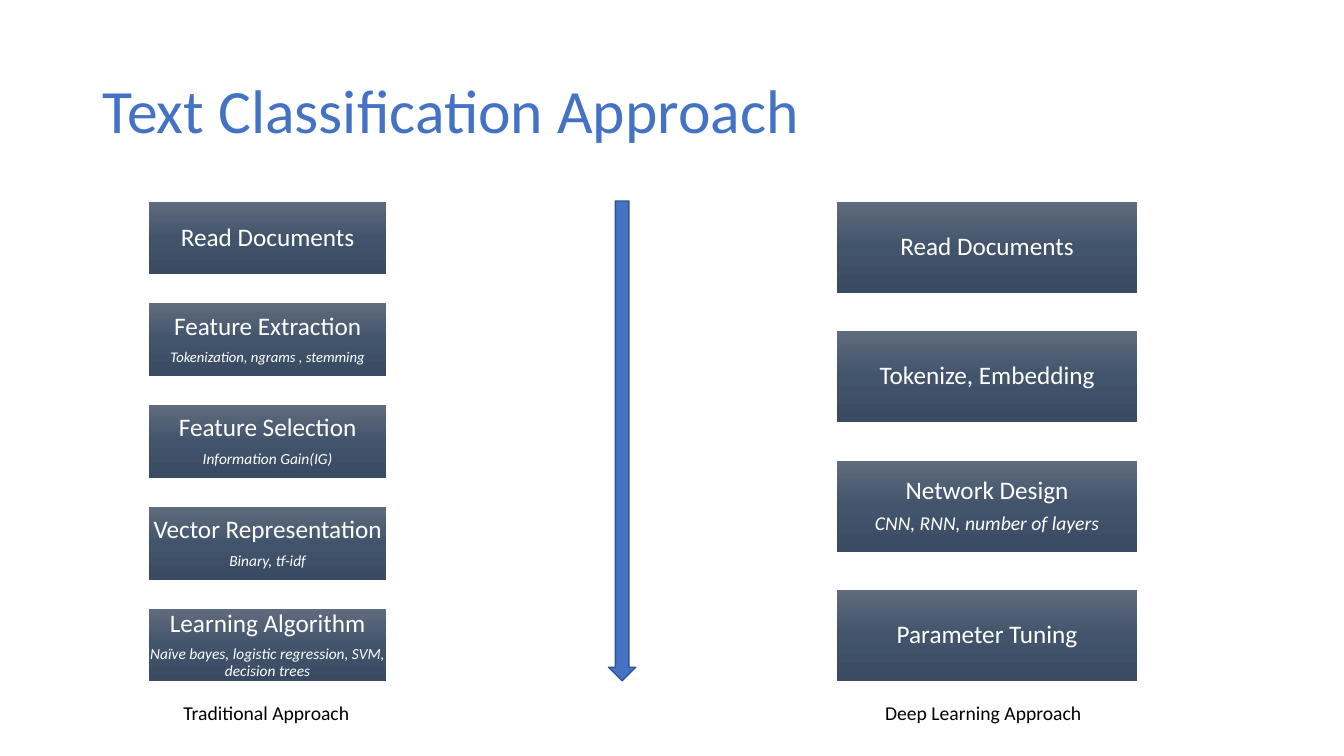
from copy import deepcopy
from dataclasses import dataclass

from pptx import Presentation
from pptx.dml.color import RGBColor
from pptx.enum.shapes import MSO_SHAPE
from pptx.enum.text import MSO_ANCHOR, MSO_AUTO_SIZE, PP_ALIGN
from pptx.oxml.ns import qn
from pptx.slide import Slide
from pptx.text.text import TextFrame
from pptx.util import Emu, Pt

PX = 9144
FONT = "Calibri"
WHITE = RGBColor(0xFF, 0xFF, 0xFF)
BLACK = RGBColor(0x00, 0x00, 0x00)
BLUE = RGBColor(0x44, 0x72, 0xC4)
ARROW_EDGE = RGBColor(0x32, 0x54, 0x91)
GRADIENT = (
    (0.0, RGBColor(0x60, 0x6B, 0x7D)),
    (0.5, RGBColor(0x42, 0x54, 0x6C)),
    (1.0, RGBColor(0x39, 0x4A, 0x62)),
)
STEPS_TOP = 200
STEPS_HEIGHT = 476
STEP_INSET = 1


@dataclass(frozen=True)
class Area:
    left: int
    top: int
    width: int
    height: int

    def emu(self) -> tuple[Emu, ...]:
        lengths = (self.left, self.top, self.width, self.height)
        return tuple(Emu(length * PX) for length in lengths)


@dataclass(frozen=True)
class Step:
    name: str
    detail: str = ""
    detail_size: float = 11


@dataclass(frozen=True)
class Approach:
    left: int
    width: int
    step_height: int
    steps: tuple[Step, ...]
    caption: str
    caption_area: Area


APPROACHES = (
    Approach(
        148, 235, 72,
        (
            Step("Read Documents"),
            Step("Feature Extraction", "Tokenization, ngrams , stemming", 10.5),
            Step("Feature Selection", "Information Gain(IG)"),
            Step("Vector Representation", "Binary, tf-idf"),
            Step("Learning Algorithm",
                 "Naïve bayes, logistic regression, SVM, decision trees"),
        ),
        "Traditional Approach", Area(172, 690, 188, 34),
    ),
    Approach(
        830, 298, 91,
        (
            Step("Read Documents"),
            Step("Tokenize, Embedding"),
            Step("Network Design", "CNN, RNN, number of layers", 14),
            Step("Parameter Tuning"),
        ),
        "Deep Learning Approach", Area(868, 690, 223, 34),
    ),
)


def apply(target: object, values: dict[str, object]) -> None:
    for name, value in values.items():
        setattr(target, name, value)


def write(frame: TextFrame, index: int, text: str, size: float,
          color: RGBColor, layout: dict[str, object],
          italic: bool = False) -> None:
    para = frame.paragraphs[0] if index == 0 else frame.add_paragraph()
    apply(para, layout)
    span = para.add_run()
    span.text = text
    apply(span.font, {"name": FONT, "size": Pt(size), "italic": italic})
    span.font.color.rgb = color


def add_label(page: Slide, area: Area, text: str, size: float,
              color: RGBColor, frame_values: dict[str, object],
              layout: dict[str, object]) -> None:
    box = page.shapes.add_textbox(*area.emu())
    apply(box.text_frame, {"word_wrap": True, **frame_values})
    write(box.text_frame, 0, text, size, color, layout)


def add_step(page: Slide, area: Area, step: Step) -> None:
    box = page.shapes.add_shape(MSO_SHAPE.RECTANGLE, *area.emu())
    box.shadow.inherit = False
    box.line.fill.background()
    box.fill.gradient()
    box.fill.gradient_angle = 270
    stops = box._element.spPr.find(f".//{qn('a:gsLst')}")
    stops.append(deepcopy(stops[0]))
    for stop, (position, color) in zip(box.fill.gradient_stops, GRADIENT):
        stop.position = position
        stop.color.rgb = color

    frame = box.text_frame
    sides = ("left", "top", "right", "bottom")
    insets = {f"margin_{side}": Emu(STEP_INSET * PX) for side in sides}
    apply(frame, {"word_wrap": True, "vertical_anchor": MSO_ANCHOR.MIDDLE,
                  **insets})
    lines = [(step.name, 18, False)]
    if step.detail:
        lines.append((step.detail, step.detail_size, True))
    for index, (text, size, italic) in enumerate(lines):
        layout = {"alignment": PP_ALIGN.CENTER, "line_spacing": 0.9,
                  "space_after": Pt(size * 0.35)}
        write(frame, index, text, size, WHITE, layout, italic)


def add_approach(page: Slide, approach: Approach) -> None:
    gaps = len(approach.steps) - 1
    pitch = (STEPS_HEIGHT - approach.step_height) / gaps
    for index, step in enumerate(approach.steps):
        top = STEPS_TOP + round(index * pitch)
        area = Area(approach.left, top, approach.width, approach.step_height)
        add_step(page, area, step)
    add_label(page, approach.caption_area, approach.caption, 14, BLACK,
              {"auto_size": MSO_AUTO_SIZE.SHAPE_TO_FIT_TEXT}, {})


def add_arrow(page: Slide, area: Area) -> None:
    arrow = page.shapes.add_shape(MSO_SHAPE.RIGHT_ARROW, *area.emu())
    arrow.rotation = 90
    arrow.shadow.inherit = False
    arrow.fill.solid()
    arrow.fill.fore_color.rgb = BLUE
    arrow.line.color.rgb = ARROW_EDGE
    arrow.line.width = Pt(1)


def main() -> None:
    deck = Presentation()
    apply(deck, {"slide_width": Emu(1333 * PX),
                 "slide_height": Emu(750 * PX)})
    page = deck.slides.add_slide(deck.slide_layouts[6])
    add_label(page, Area(92, 40, 1150, 145), "Text Classification Approach",
              44, BLUE, {"vertical_anchor": MSO_ANCHOR.MIDDLE},
              {"line_spacing": 0.9})
    for approach in APPROACHES:
        add_approach(page, approach)
    add_arrow(page, Area(379, 424, 476, 27))
    deck.save("out.pptx")


if __name__ == "__main__":
    main()
